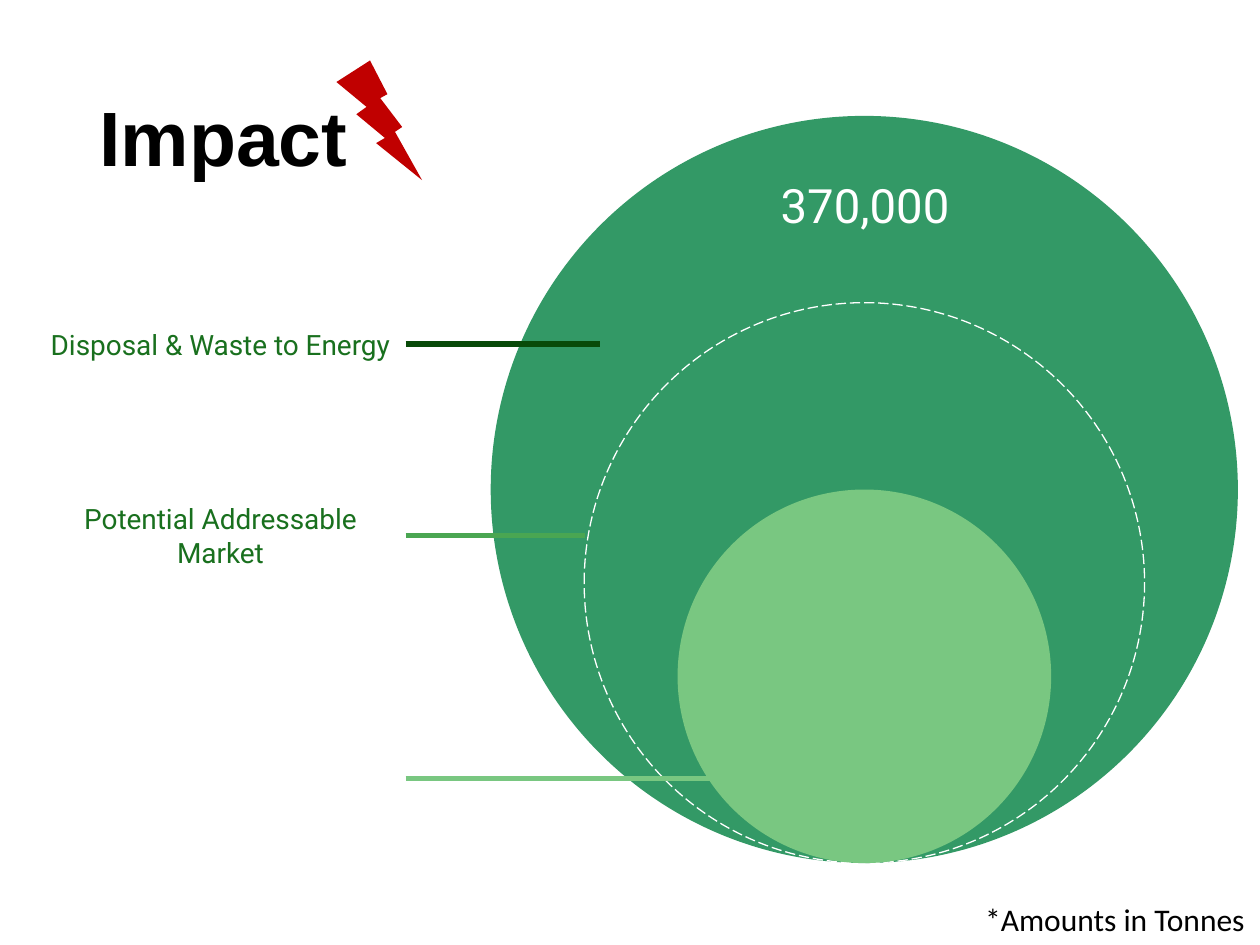
from lxml.etree import SubElement
from pptx import Presentation
from pptx.dml.color import RGBColor
from pptx.enum.dml import MSO_LINE as Dash
from pptx.enum.shapes import MSO_CONNECTOR as Link, MSO_SHAPE as Kind
from pptx.enum.text import MSO_ANCHOR as Anchor, PP_ALIGN as Align
from pptx.oxml.ns import qn
from pptx.util import Inches, Pt

THEME = {
    "outer": "339966", "inner": "79C781", "label": "19701E",
    "dark": "084A09", "mid": "4AA652", "bolt": "C00000",
    "white": "FFFFFF", "black": "000000",
    "title": ("Arial", 44), "total": ("Roboto", 27),
    "tag": ("Roboto", 16), "note": ("Calibri", 18),
}

# Nested circles share a centre line and a bottom edge
MID, BASE, WIDE = 6.86, 6.85, 5.93
RINGS = [  # share of the widest, fill, outline
    (1, "outer", None),
    (0.75, None, "white"),
    (0.5, "inner", None),
]
LEFT, SPAN = 0.28, 2.94
LABELS = [  # text, middle, height, line end, line colour
    ("Disposal & Waste to Energy", 2.73, 0.5, 4.76, "dark"),
    ("Potential Addressable Market", 4.25, 0.74, 4.64, "mid"),
]
TEXTS = [  # text, box, style, colour, align, inset, spacing, wrap
    ("370,000", (5.83, 1.21, 2.07, 0.89), "total", "white", Align.CENTER, 0.21, 0.9, True),
    ("Impact", (0.69, 0.4, 8.62, 1.45), "title", "black", Align.LEFT, 0.1, 0.9, True),
    ("*Amounts in Tonnes", (7.72, 7.09, 2.31, 0.4), "note", "black", Align.LEFT, 0.1, 1, False),
]

deck = Presentation()
deck.slide_width, deck.slide_height = Inches(10), Inches(7.5)
slide = deck.slides.add_slide(deck.slide_layouts[6])
shapes = slide.shapes


def tint(name):
    return RGBColor.from_string(THEME[name])


def add_form(kind, box, fill=None, edge=None):
    form = shapes.add_shape(kind, *map(Inches, box))
    form.shadow.inherit = False
    if fill:
        form.fill.solid()
        form.fill.fore_color.rgb = tint(fill)
    else:
        form.fill.background()
    if edge:
        form.line.color.rgb = tint(edge)
        form.line.width = Pt(0.75)
        form.line.dash_style = Dash.LONG_DASH
    else:
        form.line.fill.background()


def add_text(text, box, style, color, align, inset=0.1, space=1, wrap=True):
    area = shapes.add_textbox(*map(Inches, box))
    frame = area.text_frame
    frame.text = text
    frame.word_wrap = wrap
    frame.vertical_anchor = Anchor.MIDDLE
    frame.margin_left = frame.margin_right = Inches(inset)
    frame.margin_top = frame.margin_bottom = Inches(inset / 2)
    para = frame.paragraphs[0]
    para.alignment, para.line_spacing = align, space
    font = para.runs[0].font
    font.name, size = THEME[style]
    font.size, font.bold = Pt(size), style == "title"
    font.color.rgb = tint(color)
    return area


def add_line(mid, end, color):
    """Draw a level line from the right edge of the label column."""
    line = shapes.add_connector(Link.STRAIGHT, *map(Inches, (LEFT + SPAN, mid, end, mid)))
    line.line.color.rgb = tint(color)
    line.line.width = Pt(3)
    SubElement(line._element.spPr, qn("a:effectLst"))
    return line


for share, fill, edge in RINGS:
    size = WIDE * share
    add_form(Kind.OVAL, (MID - size / 2, BASE - size, size, size), fill, edge)

for text, mid, high, end, color in LABELS:
    label = add_text(text, (LEFT, mid - high / 2, SPAN, high), "tag", "label", Align.CENTER)
    add_line(mid, end, color).begin_connect(label, 3)
add_line(6.18, 7.01, "inner")

for item in TEXTS:
    add_text(*item)

add_form(Kind.LIGHTNING_BOLT, (2.67, 0.48, 0.68, 0.95), "bolt")

deck.save("out.pptx")
